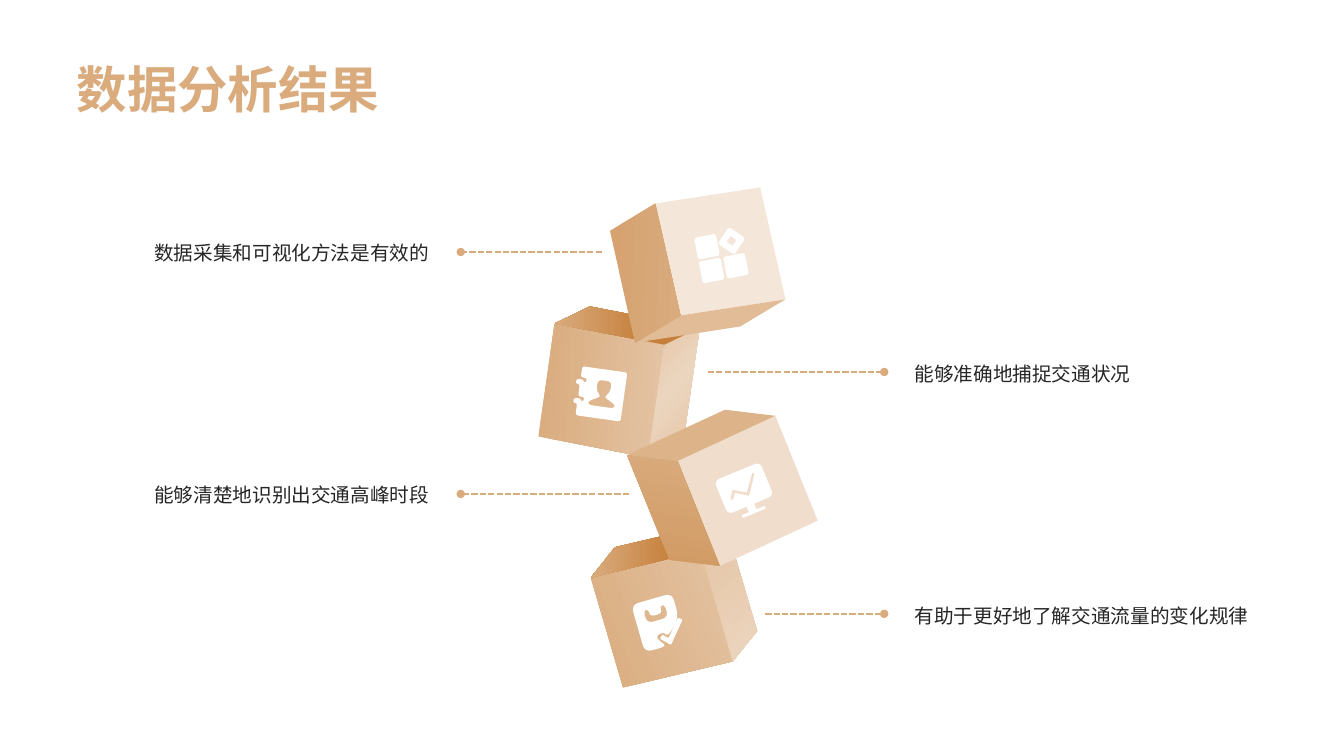
from math import hypot

from lxml.etree import SubElement
from pptx import Presentation
from pptx.dml.color import RGBColor
from pptx.enum.dml import MSO_LINE
from pptx.enum.shapes import MSO_CONNECTOR
from pptx.enum.text import MSO_ANCHOR, MSO_AUTO_SIZE, PP_ALIGN
from pptx.oxml.ns import qn
from pptx.util import Inches, Pt

WHITE = RGBColor(0xFF, 0xFF, 0xFF)
INK = RGBColor(0x26, 0x26, 0x26)
TAN = RGBColor(0xD9, 0xAB, 0x7D)
SAND = RGBColor(0xE4, 0xC4, 0xA4)
CREAM = RGBColor(0xEC, 0xD5, 0xBE)
RUST = RGBColor(0xC6, 0x80, 0x3B)
CLAY = RGBColor(0xD5, 0xA2, 0x70)
AMBER = RGBColor(0xD1, 0x9A, 0x63)
PALE = RGBColor(0xF4, 0xE6, 0xD8)
BLUSH = RGBColor(0xF0, 0xDD, 0xCB)
PEACH = RGBColor(0xE1, 0xBC, 0x97)
WHEAT = RGBColor(0xDD, 0xB3, 0x8A)
HEAD = "Noto Sans CJK SC"
BODY = "Noto Sans CJK JP"

INNER = ([(39, RUST), (100, TAN)], 180)
CUBES = [
    ((69.5, 54.7), (-10.9, 2.6), (3.2, 10.9), (2.4, -3),
     (([(0, TAN), (100, SAND)], 337), ([(0, SAND), (100, CREAM)], 52), INNER)),
    ((65.9, 34.2), (-10.9, -2.1), (-1.6, 11.2), (3.5, -1.7),
     (([(0, TAN), (100, SAND)], 3),
      ([(0, SAND), (54, CREAM), (100, SAND)], 221), INNER)),
    ((67.5, 31.3), (-2.5, -11.1), (10.4, -1.6), (-4.5, 2.7),
     (PALE, PEACH, ([(0, CLAY), (100, TAN)], 3))),
    ((67.2, 45.75), (9.7, -4.5), (4.2, 10.4), (-5, -0.6),
     (BLUSH, ([(0, AMBER), (100, TAN)], 280), WHEAT)),
]
NOTES = [
    ("数据采集和可视化方法是有效的", 59.7, 25),
    ("能够准确地捕捉交通状况", 70.2, 36.9),
    ("能够清楚地识别出交通高峰时段", 62.4, 49),
    ("有助于更好地了解交通流量的变化规律", 75.9, 60.9),
]


def soft(points, cut):
    """Return the outline with each corner rounded."""
    out = []
    for i, (x, y) in enumerate(points):
        ends = []
        for px, py in (points[i - 1], points[(i + 1) % len(points)]):
            size = hypot(px - x, py - y)
            part = min(cut / size, 0.5)
            ends.append((x + (px - x) * part, y + (py - y) * part))
        (ax, ay), (bx, by) = ends
        for t in (k / 6 for k in range(7)):
            u = 1 - t
            out.append((u * u * ax + 2 * u * t * x + t * t * bx,
                        u * u * ay + 2 * u * t * y + t * t * by))
    return out


def box(x, y, wide, high):
    """Return the corners of an upright box."""
    return [(x, y), (x + wide, y), (x + wide, y + high), (x, y + high)]


def gem(x, y, half):
    """Return the corners of a square on its tip."""
    return [(x, y - half), (x + half, y), (x, y + half), (x - half, y)]


def ring(y):
    """Return one binder ring on the left edge, from the bottom up."""
    steps = [(4, 7), (0, 7), (0, 2), (7, 2), (7, 4), (10, 4), (10, 0), (4, 0)]
    return [(x, y + dy) for x, dy in steps]


TILES = [soft(box(x, y, 22, 22), 3) for x, y in ((0, 3), (0, 27), (24.5, 27))]
TILES += [soft(gem(36, 13, 14), 3), gem(36, 13, 5)]
BOOK = [
    soft([(4, 0), (49, 0), (49, 49), (4, 49)] + ring(30) + ring(11), 3),
    soft([(15, 37), (15, 33), (25, 28), (25, 26), (21, 21), (21, 11), (35, 11),
          (35, 21), (31, 26), (31, 28), (41, 33), (41, 37)], 5),
]
SCREEN = [
    soft(box(0, 0, 49, 36), 6), box(20, 36, 8, 6), soft(box(12, 42, 25, 3), 1.5),
    soft([(8, 23), (13.5, 15), (25.5, 23), (38, 7), (40, 8.5), (26.5, 27),
          (14.5, 19), (10, 25)], 1),
]
CARD = [
    soft([(0, 0), (42, 0), (42, 24), (27, 40), (23, 35), (16, 36), (16, 41),
          (23, 49), (0, 49)], 8),
    soft([(10, 9), (15, 9), (15, 16.5), (27, 16.5), (27, 9), (32, 9), (32, 22),
          (10, 22)], 7),
    soft([(41, 25), (45, 28), (27, 49), (18, 40), (21.5, 37), (26.5, 42)], 1.5),
]
ICONS = [(TILES, 69.2, 22.8, 349), (BOOK, 57, 36.6, 8),
         (SCREEN, 71.5, 46.6, 337.5), (CARD, 63.2, 59.3, 344)]


class Deck:
    """Draws on the current slide with cells a tenth of an inch wide."""

    cell = Inches(0.1)

    def __init__(self):
        self.show = Presentation()
        self.show.slide_width = Inches(13.33)
        self.show.slide_height = Inches(7.5)
        self.slide = self.show.slides.add_slide(self.show.slide_layouts[5])
        self.shapes = self.slide.shapes

    def grid(self, *cells):
        return [round(n * self.cell) for n in cells]

    def letter(self, shape, place, text, size, color, face, anchor, align, gap, bold):
        shape.left, shape.top, shape.width, shape.height = self.grid(*place)
        frame = shape.text_frame
        frame.text = text
        frame.word_wrap = True
        frame.auto_size = MSO_AUTO_SIZE.NONE
        frame.vertical_anchor = anchor
        frame.margin_left = frame.margin_right = 0
        frame.margin_top = frame.margin_bottom = 0
        line = frame.paragraphs[0]
        line.alignment, line.line_spacing = align, gap
        font = line.runs[0].font
        font.size, font.bold, font.name = Pt(size), bold, face
        font.color.rgb = color
        SubElement(line.runs[0]._r.rPr, qn("a:ea"), typeface=face)

    def title(self, text):
        self.letter(self.shapes.title, (7.6, 3.9, 118.1, 7.9), text, 36, TAN, HEAD,
                    MSO_ANCHOR.BOTTOM, PP_ALIGN.LEFT, 1.0, True)

    def label(self, text, x, y, align):
        shape = self.shapes.add_textbox(0, 0, 0, 0)
        self.letter(shape, (x, y, 35, 11.6), text, 14, INK, BODY,
                    MSO_ANCHOR.MIDDLE, align, 1.5, False)

    def paint(self, shape, fill):
        shape.shadow.inherit = False
        shape.line.fill.background()
        if isinstance(fill, RGBColor):
            shape.fill.solid()
            shape.fill.fore_color.rgb = fill
            return
        stops, angle = fill
        shape.fill.gradient()
        shape.fill.gradient_angle = 360 - angle
        bands = shape._element.spPr.find(".//" + qn("a:gsLst"))
        for old in list(bands):
            bands.remove(old)
        for spot, color in stops:
            band = SubElement(bands, qn("a:gs"), pos=str(spot * 1000))
            SubElement(band, qn("a:srgbClr"), val=str(color))

    def outline(self, loops, fill):
        first, *rest = [[self.grid(*p) for p in loop] for loop in loops]
        pen = self.shapes.build_freeform(*first[0])
        pen.add_line_segments(first[1:])
        for loop in rest:
            pen.move_to(*loop[0])
            pen.add_line_segments(loop[1:])
        shape = pen.convert_to_shape()
        self.paint(shape, fill)
        return shape

    def cube(self, hub, a, b, c, fills):
        for (p, q), fill in zip(((a, b), (b, c), (c, a)), fills):
            far = p[0] + q[0], p[1] + q[1]
            steps = ((0, 0), p, far, q)
            self.outline([[(hub[0] + x, hub[1] + y) for x, y in steps]], fill)

    def icon(self, loops, x, y, turn):
        spots = [[(x + u / 10, y + v / 10) for u, v in loop] for loop in loops]
        self.outline(spots, WHITE).rotation = turn

    def link(self, start, end, y):
        line = self.shapes.add_connector(
            MSO_CONNECTOR.STRAIGHT, *self.grid(start, y, end, y))
        line.line.color.rgb = TAN
        line.line.width = Pt(1.5)
        line.line.dash_style = MSO_LINE.SQUARE_DOT
        props = line._element.spPr
        SubElement(props.find(qn("a:ln")), qn("a:tailEnd"), type="oval")
        SubElement(props, qn("a:effectLst"))


def main():
    deck = Deck()
    deck.title("数据分析结果")
    for cube in CUBES:
        deck.cube(*cube)
    for i, (text, start, y) in enumerate(NOTES):
        right = i % 2
        deck.link(start, 87.7 if right else 45.7, y)
        deck.label(text, 90.7 if right else 7.6, 18.7 + 12 * i,
                   PP_ALIGN.LEFT if right else PP_ALIGN.RIGHT)
    for icon in ICONS:
        deck.icon(*icon)
    deck.show.save("out.pptx")


if __name__ == "__main__":
    main()
